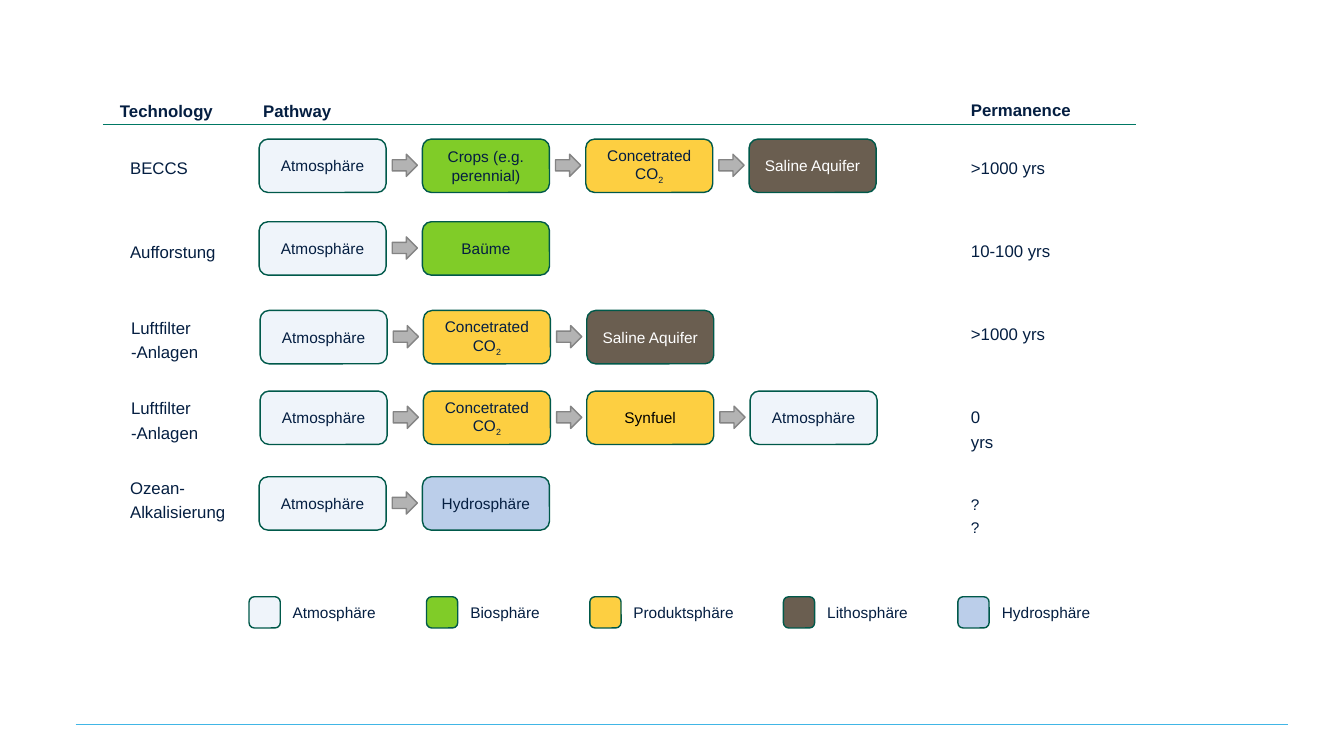
from lxml.etree import SubElement
from pptx import Presentation
from pptx.dml.color import RGBColor
from pptx.enum.shapes import MSO_CONNECTOR, MSO_SHAPE
from pptx.enum.text import MSO_ANCHOR, MSO_AUTO_SIZE, PP_ALIGN
from pptx.oxml.ns import qn
from pptx.util import Pt

PX = 9144  # EMU, 100 px to the inch

COLORS = {
    "ink": "041E41", "white": "FFFFFF", "black": "000000",
    "outline": "00594A", "header rule": "007864", "footer rule": "41B6E6",
    "arrow": "B3B3B3", "arrow line": "848484",
    "Atmosphäre": "EFF4FA", "Biosphäre": "80CC28", "Produktsphäre": "FDCF41",
    "Lithosphäre": "6A5E50", "Hydrosphäre": "BBCEEA",
}

# Pathway steps: sphere, text colour, text and subscript
AIR = ("Atmosphäre", "ink", "Atmosphäre", "")
CROPS = ("Biosphäre", "ink", "Crops (e.g. perennial)", "")
TREES = ("Biosphäre", "ink", "Baüme", "")
CO2 = ("Produktsphäre", "ink", "Concetrated CO", "2")
SYNFUEL = ("Produktsphäre", "black", "Synfuel", "")
AQUIFER = ("Lithosphäre", "white", "Saline Aquifer", "")
OCEAN = ("Hydrosphäre", "ink", "Hydrosphäre", "")

# Label (lines, left, top, width), pathway (left, top, steps),
# permanence (text, top, width, size)
ROWS = [
    ((["BECCS"], 129, 153, 58), (257, 138, [AIR, CROPS, CO2, AQUIFER]),
     (">1000 yrs", 153, 74, 12)),
    ((["Aufforstung"], 129, 236, 86), (257, 220, [AIR, TREES]),
     ("10-100 yrs", 235, 79, 12)),
    ((["Luftfilter", "-Anlagen"], 130, 311, 67), (258, 308, [AIR, CO2, AQUIFER]),
     (">1000 yrs", 317, 74, 12)),
    ((["Luftfilter", "-Anlagen"], 130, 391, 67), (258, 388, [AIR, CO2, SYNFUEL, AIR]),
     ("0 yrs", 400, 36, 12)),
    ((["Ozean-", "Alkalisierung"], 129, 470, 95), (257, 473, [AIR, OCEAN]),
     ("??", 488, 17, 11)),
]
HEADERS = [("Technology", 119, 96, 93), ("Pathway", 261, 96, 68),
           ("Permanence", 963, 95, 100)]
LEGEND = [("Atmosphäre", 247, 103), ("Biosphäre", 423, 90),
          ("Produktsphäre", 585, 120), ("Lithosphäre", 777, 101),
          ("Hydrosphäre", 950, 109)]

STEP_WIDTH, STEP_HEIGHT, STEP_PITCH = 126, 53, 162
ARROW_WIDTH, ARROW_HEIGHT, ARROW_OFFSET = 25, 22, 132
PERMANENCE_LEFT = 963


class SlideBuilder:
    """Holds the slide and the style shared by its elements."""

    font_name = "Arial"

    def __init__(self, slide):
        self.slide = slide

    def color(self, name):
        return RGBColor.from_string(COLORS[name])

    def line(self, left, right, top, color):
        connector = self.slide.shapes.add_connector(
            MSO_CONNECTOR.STRAIGHT, left * PX, top * PX, right * PX, top * PX)
        connector.line.color.rgb = self.color(color)
        connector.line.width = Pt(0.5)
        SubElement(connector._element.spPr, qn("a:effectLst"))

    def shape(self, kind, left, top, width, height, fill, outline):
        shape = self.slide.shapes.add_shape(
            kind, left * PX, top * PX, width * PX, height * PX)
        shape.shadow.inherit = False
        shape.fill.solid()
        shape.fill.fore_color.rgb = self.color(fill)
        shape.line.color.rgb = self.color(outline)
        shape.line.width = Pt(1)
        return shape

    def run(self, paragraph, text, size, color="ink", bold=False):
        run = paragraph.add_run()
        run.text = text
        run.font.name = self.font_name
        run.font.size = Pt(size)
        run.font.bold = bold
        run.font.color.rgb = self.color(color)
        return run

    def box(self, left, top, width, height):
        """Add a text box that does not wrap and grows with its text."""
        frame = self.slide.shapes.add_textbox(
            left * PX, top * PX, width * PX, height * PX).text_frame
        frame.word_wrap = False
        frame.auto_size = MSO_AUTO_SIZE.SHAPE_TO_FIT_TEXT
        return frame

    def label(self, lines, left, top, width, size=12, bold=False):
        frame = self.box(left, top, width, 23 * len(lines))
        frame.margin_left = frame.margin_right = 0
        frame.margin_top = frame.margin_bottom = 0
        for index, text in enumerate(lines):
            paragraph = frame.add_paragraph() if index else frame.paragraphs[0]
            paragraph.line_spacing = 1.2
            self.run(paragraph, text, size, bold=bold)

    def step(self, left, top, sphere, color, text, subscript):
        shape = self.shape(MSO_SHAPE.ROUNDED_RECTANGLE, left, top,
                           STEP_WIDTH, STEP_HEIGHT, sphere, "outline")
        frame = shape.text_frame
        frame.word_wrap = True
        frame.vertical_anchor = MSO_ANCHOR.MIDDLE
        paragraph = frame.paragraphs[0]
        paragraph.alignment = PP_ALIGN.CENTER
        self.run(paragraph, text, 11, color)
        if subscript:
            run = self.run(paragraph, subscript, 11, color)
            run.font._element.set("baseline", "-25000")

    def pathway(self, left, top, steps):
        for index, step in enumerate(steps):
            step_left = left + index * STEP_PITCH
            self.step(step_left, top, *step)
            if index < len(steps) - 1:
                self.shape(MSO_SHAPE.RIGHT_ARROW, step_left + ARROW_OFFSET, top + 15,
                           ARROW_WIDTH, ARROW_HEIGHT, "arrow", "arrow line")

    def legend_entry(self, sphere, left, width):
        self.shape(MSO_SHAPE.ROUNDED_RECTANGLE, left, 592, 31, 31, sphere, "outline")
        paragraph = self.box(left + 33, 593, width, 29).paragraphs[0]
        paragraph.alignment = PP_ALIGN.CENTER
        self.run(paragraph, sphere, 11)


def main():
    presentation = Presentation()
    presentation.slide_width = 1333 * PX
    presentation.slide_height = 750 * PX
    slide = presentation.slides.add_slide(presentation.slide_layouts[6])
    builder = SlideBuilder(slide)

    builder.line(75, 1277, 719, "footer rule")
    builder.line(102, 1127, 123, "header rule")
    for text, left, top, width in HEADERS:
        builder.label([text], left, top, width, bold=True)
    for label, pathway, (permanence, top, width, size) in ROWS:
        builder.label(*label)
        builder.pathway(*pathway)
        builder.label([permanence], PERMANENCE_LEFT, top, width, size)
    for entry in LEGEND:
        builder.legend_entry(*entry)

    presentation.save("out.pptx")


if __name__ == "__main__":
    main()
